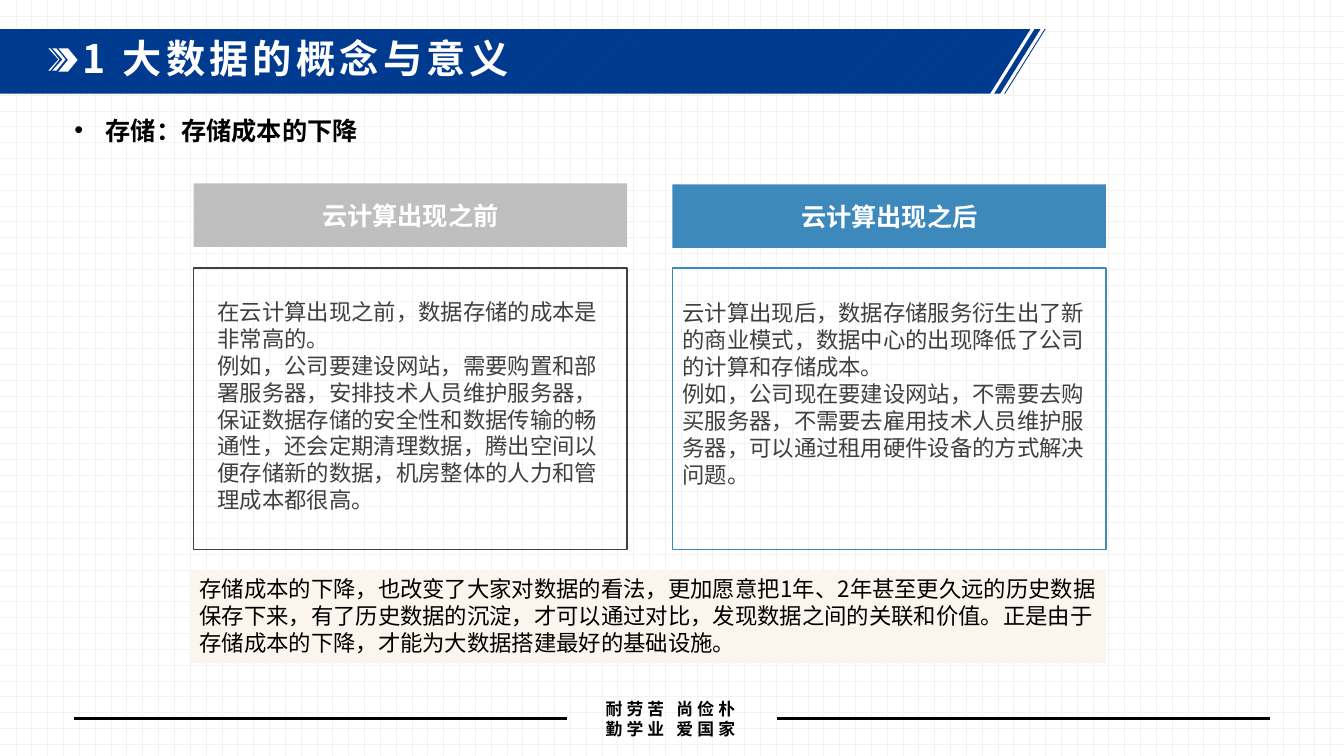
from dataclasses import dataclass

from lxml import etree
from pptx import Presentation
from pptx.dml.color import RGBColor
from pptx.enum.dml import MSO_PATTERN
from pptx.enum.shapes import MSO_CONNECTOR, MSO_SHAPE
from pptx.enum.text import MSO_ANCHOR, PP_ALIGN
from pptx.oxml.ns import qn
from pptx.util import Inches, Pt

RECT, CHEVRON = MSO_SHAPE.RECTANGLE, MSO_SHAPE.CHEVRON
STRAIGHT = MSO_CONNECTOR.STRAIGHT
DOT_GRID, DIAGONAL = MSO_PATTERN.DOTTED_GRID, MSO_PATTERN.WIDE_UPWARD_DIAGONAL
LEFT, CENTER = PP_ALIGN.LEFT, PP_ALIGN.CENTER
TOP, MIDDLE = MSO_ANCHOR.TOP, MSO_ANCHOR.MIDDLE


@dataclass(frozen=True)
class Theme:
    white: str = "FFFFFF"
    black: str = "000000"
    grid: str = "F2F2F2"
    banner: str = "003A8F"
    banner_stripe: str = "00449A"
    before: str = "BFBFBF"
    after: str = "3D89BC"
    body: str = "404040"
    cream: str = "FCF5ED"
    font: str = "Noto Sans CJK SC"
    bullet_font: str = "TeX Gyre Adventor"
    title_size: int = 28
    head_size: int = 18
    body_size: int = 16
    motto_size: int = 12


T = Theme()


def rgb(value):
    return RGBColor.from_string(value)


def set_pattern(fill, pattern, fore, back):
    fill.patterned()
    fill.pattern = pattern
    fill.fore_color.rgb = rgb(fore)
    fill.back_color.rgb = rgb(back)


def write(sp, paragraphs, size, color, bold=False, align=LEFT, anchor=TOP,
          font=T.font, spacing=0, wrap=True, bullet=None, **frame):
    tf = sp.text_frame
    for name, value in {"word_wrap": wrap, "vertical_anchor": anchor, **frame}.items():
        setattr(tf, name, value)
    for i, text in enumerate(paragraphs):
        p = tf.add_paragraph() if i else tf.paragraphs[0]
        p.alignment = align
        if bullet:
            pPr = p._p.get_or_add_pPr()
            pPr.set("marL", str(Inches(0.31)))
            pPr.set("indent", str(-Inches(0.31)))
            etree.SubElement(pPr, qn("a:buFont")).set("typeface", "Arial")
            etree.SubElement(pPr, qn("a:buChar")).set("char", bullet)
        r = p.add_run()
        r.text = text
        for name, value in {"name": font, "size": Pt(size), "bold": bold}.items():
            setattr(r.font, name, value)
        r.font.color.rgb = rgb(color)
        rPr = r._r.get_or_add_rPr()
        etree.SubElement(rPr, qn("a:ea")).set("typeface", T.font)
        if spacing:
            rPr.set("spc", str(spacing * 100))
    return tf


def add_text(s, box, paragraphs, size, color, **fmt):
    sp = s.shapes.add_textbox(*map(Inches, box))
    return write(sp, paragraphs, size, color, **fmt)


def add_box(s, box, fill=None, line=None, shape=RECT):
    sp = s.shapes.add_shape(shape, *map(Inches, box))
    sp.shadow.inherit = False
    if fill:
        sp.fill.solid()
        sp.fill.fore_color.rgb = rgb(fill)
    else:
        sp.fill.background()
    if line:
        sp.line.color.rgb = rgb(line)
        sp.line.width = Pt(1)
    else:
        sp.line.fill.background()
    return sp


def add_outline(s, contours):
    contours = [[(Inches(x), Inches(y)) for x, y in c] for c in contours]
    builder = s.shapes.build_freeform(*contours[0][0])
    for i, (start, *rest) in enumerate(contours):
        if i:
            builder.move_to(*start)
        builder.add_line_segments(rest, close=True)
    sp = builder.convert_to_shape()
    sp.shadow.inherit = False
    sp.line.fill.background()
    return sp


def add_rule(s, x1, x2, y):
    line = s.shapes.add_connector(STRAIGHT, *map(Inches, (x1, y, x2, y)))
    line.line.color.rgb = rgb(T.black)
    line.line.width = Pt(2)
    etree.SubElement(line._element.spPr, qn("a:effectLst"))


def add_banner(s):
    top, bottom, slant = 0.29, 0.93, 0.4
    stripes = [[(a, top), (b, top), (b - slant, bottom), (a - slant, bottom)]
               for a, b in ((10.36, 10.37), (10.26, 10.32))]
    bar = [(0, top), (10.22, top), (10.22 - slant, bottom), (0, bottom)]
    banner = add_outline(s, [*stripes, bar])
    set_pattern(banner.fill, DIAGONAL, T.banner_stripe, T.banner)

    # Three chevrons, thinner towards the left
    add_box(s, (0.58, 0.48, 0.19, 0.23), T.white, shape=CHEVRON)
    for x, thick, reach in ((0.52, 0.04, 0.1), (0.48, 0.02, 0.1)):
        arrow = add_outline(s, [[(x, 0.48), (x + thick, 0.48),
                                 (x + thick + 0.09, 0.59), (x + thick, 0.7),
                                 (x, 0.7), (x + reach, 0.59)]])
        arrow.fill.solid()
        arrow.fill.fore_color.rgb = rgb(T.white)

    tf = add_text(s, (0.72, 0.34, 8.31, 0.56), ["1 大数据的概念与意义"],
                  T.title_size, T.white, bold=True, spacing=3)
    tf.paragraphs[0].line_spacing = 0.9


def add_footer(s):
    add_text(s, (5.61, 6.88, 2.08, 0.5), ["耐劳苦 尚俭朴", "勤学业 爱国家"],
             T.motto_size, T.black, bold=True, align=CENTER, anchor=MIDDLE, spacing=3)
    for x1, x2 in ((0.73, 5.62), (7.71, 12.6)):
        add_rule(s, x1, x2, 7.13)


def add_column(s, x, y, heading, fill, line):
    write(add_box(s, (x, y, 4.3, 0.63), fill), [heading], T.head_size, T.white,
          bold=True, align=CENTER, anchor=MIDDLE)
    return add_box(s, (x, 2.66, 4.3, 2.79), line=line)


def main():
    prs = Presentation()
    prs.slide_width, prs.slide_height = Inches(13.33), Inches(7.5)
    s = prs.slides.add_slide(prs.slide_layouts[6])
    set_pattern(s.background.fill, DOT_GRID, T.grid, T.white)

    # Frame of the page
    add_banner(s)
    add_footer(s)

    # Topic
    add_text(s, (0.64, 1.09, 3.04, 0.4), ["存储：存储成本的下降"], T.head_size, T.black,
             bold=True, font=T.bullet_font, wrap=False, bullet="•")

    # Before and after cloud computing
    add_column(s, 1.92, 1.82, "云计算出现之前", T.before, T.body)
    add_text(s, (2.06, 2.91, 4.02, 2.25), [
        "在云计算出现之前，数据存储的成本是非常高的。",
        "例如，公司要建设网站，需要购置和部署服务器，安排技术人员维护服务器，"
        "保证数据存储的安全性和数据传输的畅通性，还会定期清理数据，"
        "腾出空间以便存储新的数据，机房整体的人力和管理成本都很高。",
    ], T.body_size, T.body)
    after = add_column(s, 6.67, 1.83, "云计算出现之后", T.after, T.after)
    write(after, [
        "云计算出现后，数据存储服务衍生出了新的商业模式，"
        "数据中心的出现降低了公司的计算和存储成本。",
        "例如，公司现在要建设网站，不需要去购买服务器，"
        "不需要去雇用技术人员维护服务器，可以通过租用硬件设备的方式解决问题。",
    ], T.body_size, T.body, anchor=MIDDLE, margin_bottom=Inches(0.35))

    # Conclusion
    write(add_box(s, (1.88, 5.66, 9.09, 0.92), T.cream), [
        "存储成本的下降，也改变了大家对数据的看法，更加愿意把1年、2年甚至更久远的"
        "历史数据保存下来，有了历史数据的沉淀，才可以通过对比，发现数据之间的关联和价值。"
        "正是由于存储成本的下降，才能为大数据搭建最好的基础设施。",
    ], T.body_size, T.black)

    prs.save("out.pptx")


if __name__ == "__main__":
    main()
